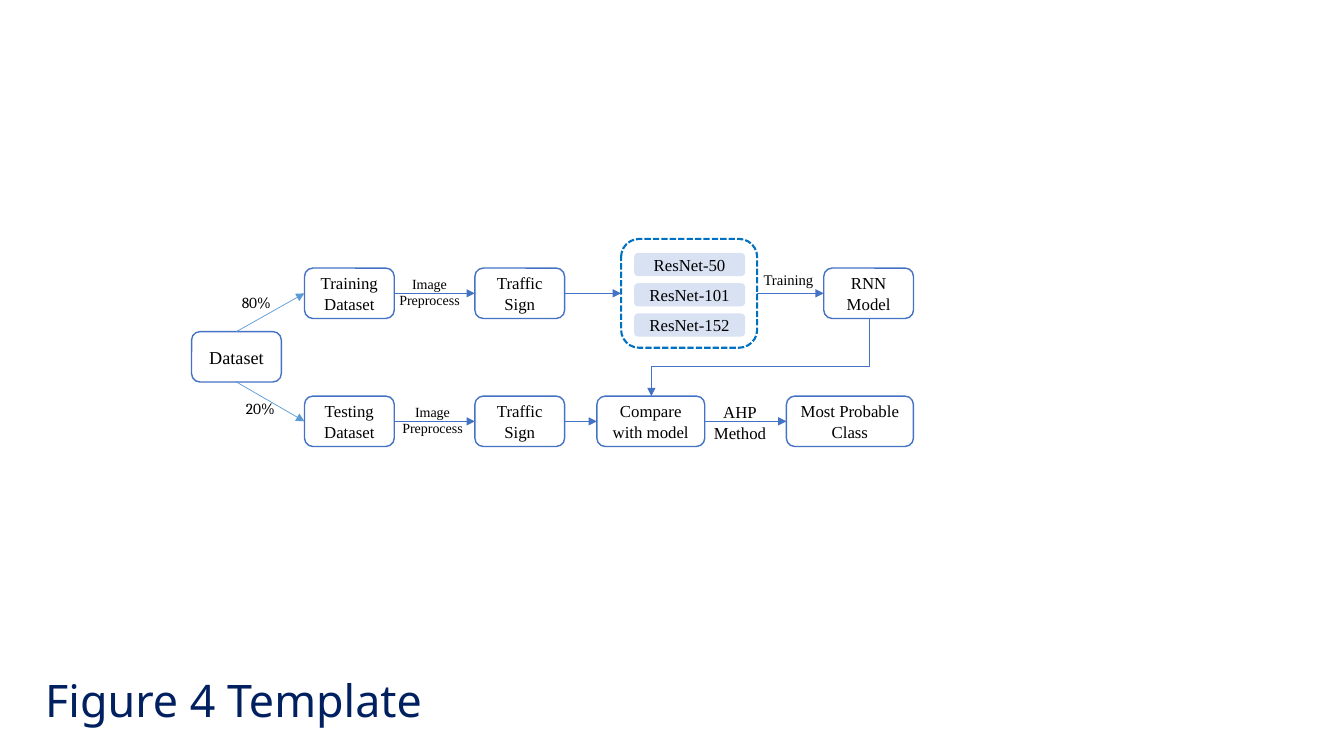
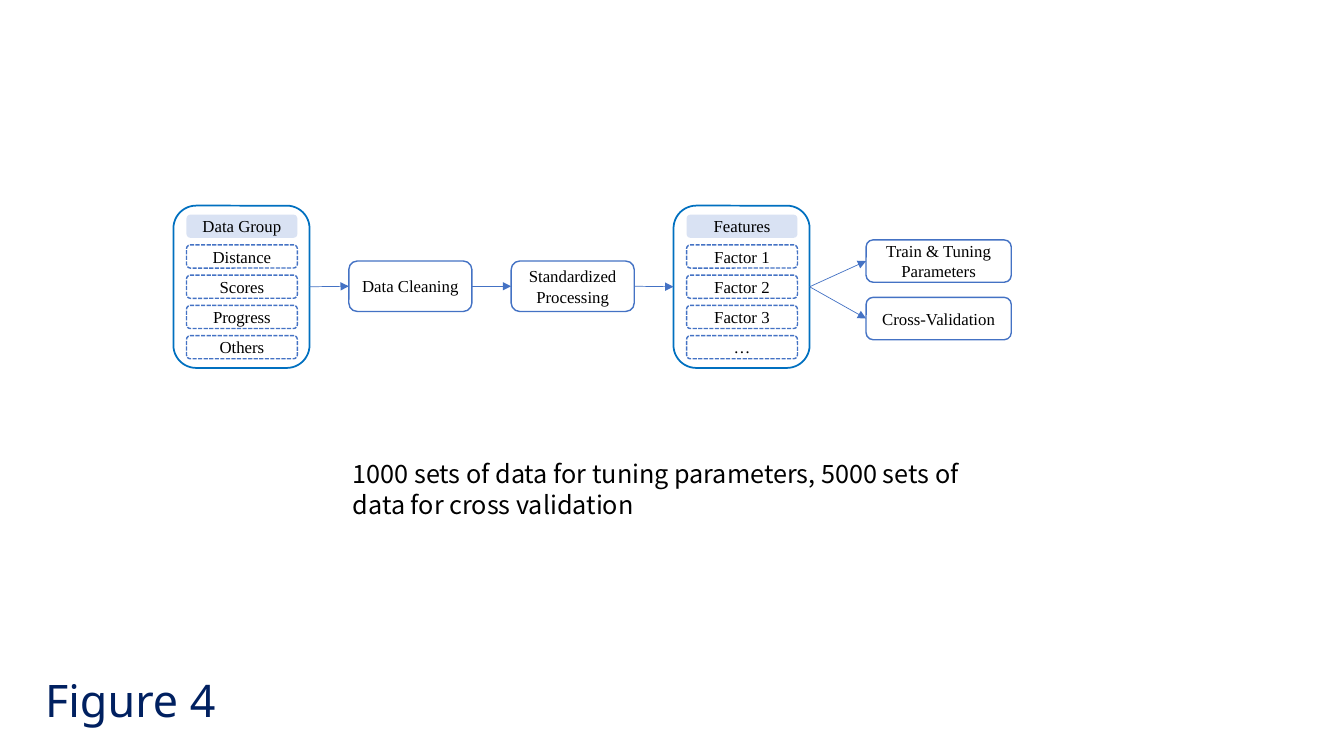
from dataclasses import dataclass

from lxml import etree
from pptx import Presentation
from pptx.dml.color import RGBColor
from pptx.enum.dml import MSO_LINE
from pptx.enum.shapes import MSO_CONNECTOR, MSO_SHAPE
from pptx.enum.text import MSO_ANCHOR, PP_ALIGN
from pptx.oxml.ns import qn
from pptx.util import Inches, Pt

ROUND = MSO_SHAPE.ROUNDED_RECTANGLE
STRAIGHT, ELBOW = MSO_CONNECTOR.STRAIGHT, MSO_CONNECTOR.ELBOW
DASH = MSO_LINE.SQUARE_DOT
LEFT, CENTER = PP_ALIGN.LEFT, PP_ALIGN.CENTER
TOP, MIDDLE = MSO_ANCHOR.TOP, MSO_ANCHOR.MIDDLE
NORTH, WEST, SOUTH, EAST = range(4)


@dataclass(frozen=True)
class Theme:
    ink: str = "000000"
    navy: str = "002060"
    white: str = "FFFFFF"
    edge: str = "4472C4"
    split: str = "5B9BD5"
    frame: str = "0070C0"
    tint: str = "D9E2F3"
    serif: str = "Times New Roman"
    ratio: str = "Cambria"
    sans: str = "Noto Sans"
    note: str = "Noto Sans CJK SC"
    title_size: float = 32
    note_size: float = 18
    root_size: float = 13
    body_size: float = 12
    ratio_size: float = 11
    train_size: float = 10.5
    small_size: float = 10
    thin: float = 0.5
    mid: float = 0.75


THEME = Theme()


def write(shape, text, size=THEME.body_size, font=THEME.serif,
          color=THEME.ink, align=CENTER, anchor=MIDDLE, pad=0.0):
    """Fill a shape with text, one paragraph for each line."""
    frame = shape.text_frame
    frame.word_wrap = True
    frame.vertical_anchor = anchor
    frame.margin_left = frame.margin_right = Inches(0.1)
    frame.margin_top = frame.margin_bottom = Inches(pad)
    frame.text = text
    for para in frame.paragraphs:
        para.alignment = align
        para.font.size = Pt(size)
        para.font.name = font
        para.font.color.rgb = RGBColor.from_string(color)


def label(slide, box, text, **style):
    area = slide.shapes.add_textbox(*map(Inches, box))
    write(area, text, anchor=TOP, pad=0.05, **style)


def node(slide, box, text="", fill=THEME.white, edge=THEME.edge, width=1,
         dash=None, **style):
    """Add a rounded box; no fill or no edge where None is given."""
    shape = slide.shapes.add_shape(ROUND, *map(Inches, box))
    shape.shadow.inherit = False
    if fill:
        shape.fill.solid()
        shape.fill.fore_color.rgb = RGBColor.from_string(fill)
    else:
        shape.fill.background()
    if edge:
        shape.line.color.rgb = RGBColor.from_string(edge)
        shape.line.width = Pt(width)
        if dash:
            shape.line.dash_style = dash
    else:
        shape.line.fill.background()
    if text:
        write(shape, text, **style)
    return shape


def panel(slide, box, chips, pad, width, dash=None, tinted=1):
    """Add a frame holding a column of chips, the first ones tinted."""
    left, top = box[:2]
    shape = node(slide, box, fill=None, edge=THEME.frame, width=width,
                 dash=dash)
    for i, text in enumerate(chips):
        place = (left + 0.13, top + pad + 0.3 * i, 1.1, 0.23)
        if i < tinted:
            node(slide, place, text, fill=THEME.tint, edge=None)
        else:
            node(slide, place, text, dash=DASH)
    return shape


def arrow(line, color, width):
    line.line.color.rgb = RGBColor.from_string(color)
    line.line.width = Pt(width)
    props = line._element.spPr
    etree.SubElement(props.find(qn("a:ln")), qn("a:tailEnd"), type="triangle")
    etree.SubElement(props, qn("a:effectLst"))


def link(slide, start, end, side=EAST, color=THEME.edge, width=THEME.thin):
    """Join a side of one box to the left side of the next."""
    line = slide.shapes.add_connector(STRAIGHT, 0, 0, 0, 0)
    line.begin_connect(start, side)
    line.end_connect(end, WEST)
    arrow(line, color, width)


def elbow(slide, start, end, bend):
    """Run down, left at height bend, then down, as a turned connector."""
    (x0, y0), (x1, y1) = start, end
    run, drop = x0 - x1, y1 - y0
    left, top = (x0 + x1 - drop) / 2, (y0 + y1 - run) / 2
    line = slide.shapes.add_connector(
        ELBOW, *map(Inches, (left, top, left + drop, top + run)))
    props = line._element.spPr
    props.find(qn("a:xfrm")).set("rot", str(90 * 60000))
    ratio = round((bend - y0) / drop * 100000)
    etree.SubElement(props.find(".//" + qn("a:avLst")), qn("a:gd"),
                     name="adj1", fmla=f"val {ratio}")
    arrow(line, THEME.edge, THEME.thin)


def page(deck, title, width):
    slide = deck.slides.add_slide(deck.slide_layouts[6])
    label(slide, (0.35, 6.62, width, 0.64), title, size=THEME.title_size,
          font=THEME.sans, color=THEME.navy, align=LEFT)
    return slide


def lane(slide, root, top, name, side, shift):
    """Add a data set, its step and its sign box; return the sign box."""
    data = node(slide, (3.02, top, 0.89, 0.5), name)
    sign = node(slide, (4.71, top, 0.89, 0.5), "Traffic Sign")
    link(slide, root, data, side, color=THEME.split)
    link(slide, data, sign)
    label(slide, (3.68 + shift, top + 0.02, 1.16, 0.44), "Image\nPreprocess",
          size=THEME.small_size)
    return sign


def model(deck):
    slide = page(deck, "Figure 4 Template", 6.22)
    upper, lower = 2.66, 3.93
    root = node(slide, (1.9, 3.29, 0.89, 0.5), "Dataset",
                size=THEME.root_size)
    train = lane(slide, root, upper, "Training Dataset", NORTH, 0)
    test = lane(slide, root, lower, "Testing Dataset", SOUTH, 0.03)
    for left, top, text in ((2.3, 2.86, "80%"), (2.34, 3.91, "20%")):
        label(slide, (left, top, 0.96, 0.29), text, size=THEME.ratio_size,
              font=THEME.ratio, align=LEFT)

    nets = panel(slide, (6.16, 2.37, 1.35, 1.08),
                 ("ResNet-50", "ResNet-101", "ResNet-152"),
                 pad=0.14, width=1.5, dash=DASH, tinted=3)
    rnn = node(slide, (8.17, upper, 0.89, 0.5), "RNN\nModel")
    match = node(slide, (5.92, lower, 1.07, 0.5), "Compare with model")
    best = node(slide, (7.8, lower, 1.26, 0.5), "Most Probable Class")
    link(slide, train, nets, width=THEME.mid)
    link(slide, nets, rnn)
    link(slide, test, match, width=THEME.mid)
    link(slide, match, best, width=THEME.mid)
    elbow(slide, (8.62, upper + 0.5), (6.46, lower), 3.64)
    label(slide, (7.28, 2.64, 1.08, 0.29), "Training", size=THEME.train_size)
    label(slide, (6.76, 3.94, 1.16, 0.5), "AHP\nMethod")


def tuning(deck):
    slide = page(deck, "Figure 4", 2.36)
    top = 2.04
    group = panel(slide, (1.72, top, 1.35, 1.61),
                  ("Data Group", "Distance", "Scores", "Progress", "Others"),
                  pad=0.09, width=1.25)
    clean = node(slide, (3.46, top + 0.55, 1.22, 0.5), "Data Cleaning")
    scale = node(slide, (5.07, top + 0.55, 1.22, 0.5),
                 "Standardized\nProcessing")
    traits = panel(slide, (6.68, top, 1.35, 1.61),
                   ("Features", "Factor 1", "Factor 2", "Factor 3", "…"),
                   pad=0.09, width=1.25)
    chain = (group, clean, scale, traits)
    for start, end in zip(chain, chain[1:]):
        link(slide, start, end)
    for i, text in enumerate(("Train & Tuning Parameters",
                              "Cross-Validation")):
        goal = node(slide, (8.59, 2.38 + 0.57 * i, 1.44, 0.42), text)
        link(slide, traits, goal)
    label(slide, (3.4, 4.5, 6.67, 0.71),
          "1000 sets of data for tuning parameters, "
          "5000 sets of data for cross validation",
          size=THEME.note_size, font=THEME.note, align=LEFT)


def main():
    deck = Presentation()
    deck.slide_width, deck.slide_height = Inches(13.33), Inches(7.5)
    model(deck)
    tuning(deck)
    deck.save("out.pptx")


if __name__ == "__main__":
    main()
